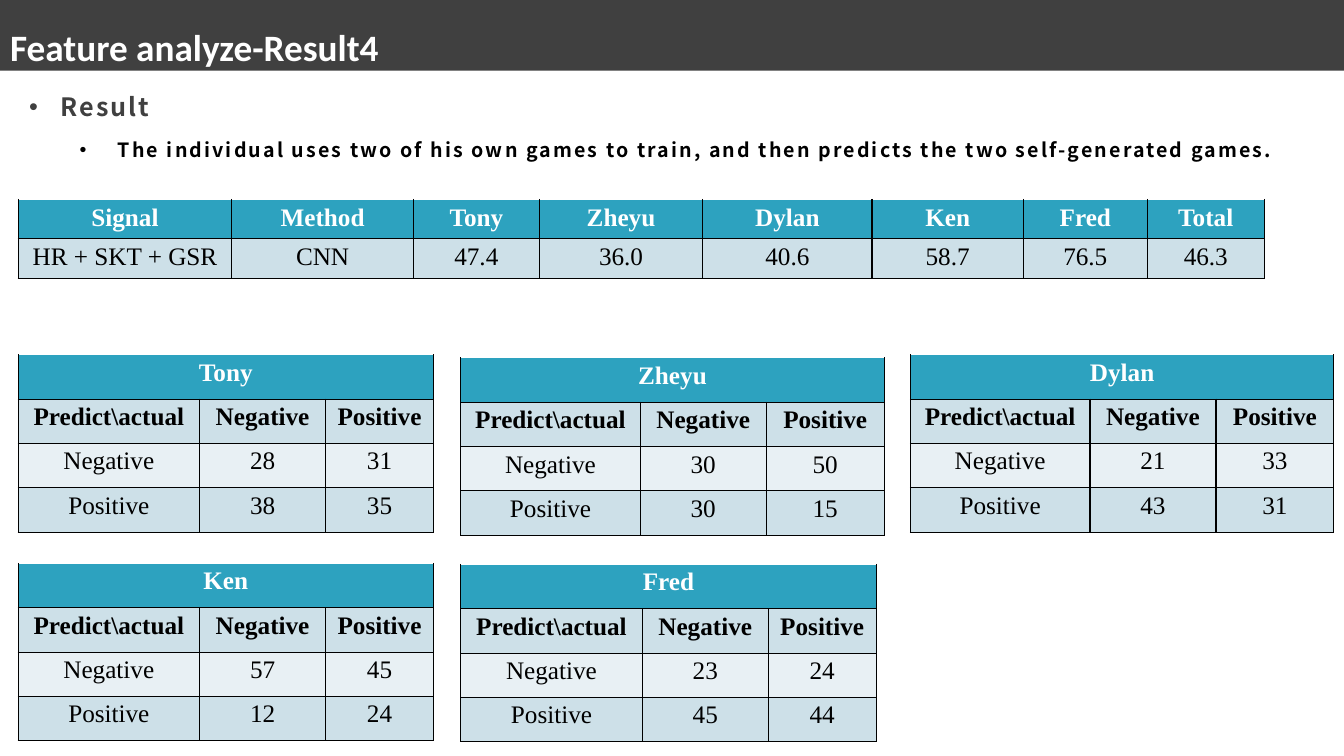
from lxml import etree
from pptx import Presentation
from pptx.dml.color import RGBColor
from pptx.enum.text import MSO_ANCHOR, MSO_AUTO_SIZE, PP_ALIGN
from pptx.oxml.ns import qn
from pptx.util import Inches, Pt

CENTER, LEFT = PP_ALIGN.CENTER, PP_ALIGN.LEFT
TOP, MIDDLE = MSO_ANCHOR.TOP, MSO_ANCHOR.MIDDLE
NO_AUTOFIT = MSO_AUTO_SIZE.NONE

COLORS = {
    "bar": "404040",
    "white": "FFFFFF",
    "black": "000000",
    "header": "2DA2BF",
    "band": "CDE0E8",
    "light": "E8F0F4",
}
TITLE_FONT = "Calibri"
BODY_FONT = "Noto Sans CJK SC"
TABLE_FONT = "Times New Roman"

ACCURACY = [
    ["Signal", "Method", "Tony", "Zheyu", "Dylan", "Ken", "Fred", "Total"],
    ["HR + SKT + GSR", "CNN", "47.4", "36.0", "40.6", "58.7", "76.5", "46.3"],
]
ACCURACY_COLS = [2.12, 1.8, 1.25, 1.62, 1.68, 1.5, 1.23, 1.16]
NARROW = [1.8, 1.25, 1.07]
WIDE = [1.78, 1.25, 1.17]
CONFUSIONS = [
    ("Tony", 0.18, 3.52, NARROW, ["28", "31"], ["38", "35"]),
    ("Zheyu", 4.57, 3.55, WIDE, ["30", "50"], ["30", "15"]),
    ("Dylan", 9.03, 3.52, WIDE, ["21", "33"], ["43", "31"]),
    ("Ken", 0.18, 5.59, NARROW, ["57", "45"], ["12", "24"]),
    ("Fred", 4.57, 5.6, NARROW, ["23", "24"], ["45", "44"]),
]


def rgb(name):
    return RGBColor.from_string(COLORS[name])


class SlideBuilder:
    def __init__(self, prs):
        self.slide = prs.slides.add_slide(prs.slide_layouts[1])

    def run(self, p, text, font, size, color, bold=True):
        r = p.add_run()
        r.text = text
        r.font.name = font
        r.font.size = Pt(size)
        r.font.bold = bold
        r.font.color.rgb = rgb(color)
        return r

    def place(self, sp, box, insets, anchor):
        sp.left, sp.top, sp.width, sp.height = map(Inches, box)
        tf = sp.text_frame
        tf.word_wrap = True
        tf.auto_size = NO_AUTOFIT
        tf.vertical_anchor = anchor
        tf.margin_left, tf.margin_top, tf.margin_right, tf.margin_bottom = map(Inches, insets)
        return tf

    def title(self, text):
        sp = self.slide.shapes.title
        sp.fill.solid()
        sp.fill.fore_color.rgb = rgb("bar")
        tf = self.place(sp, (0, 0, 13.33, 0.7), (0.1, 0, 0.1, 0), MIDDLE)
        p = tf.paragraphs[0]
        p.alignment = LEFT
        p.line_spacing = 1.5
        self.run(p, text, TITLE_FONT, 26.6, "white")

    def bullets(self, items):
        sp = self.slide.placeholders[1]
        tf = self.place(sp, (0.18, 0.88, 13.15, 6.02), (0.11, 0, 0.09, 0), TOP)
        for i, (text, level, margin, hanging, size, color) in enumerate(items):
            p = tf.add_paragraph() if i else tf.paragraphs[0]
            p.level = level
            p.alignment = LEFT
            p.line_spacing = 1.1
            p.space_before = Pt(0)
            p.space_after = Pt(10)
            pPr = p._p.get_or_add_pPr()
            pPr.set("marL", str(Inches(margin)))
            pPr.set("indent", str(-Inches(hanging)))
            etree.SubElement(pPr, qn("a:buFont"), typeface="Arial")
            etree.SubElement(pPr, qn("a:buChar"), char="•")
            r = self.run(p, text, BODY_FONT, size, color)
            r.font._element.set("spc", "150")

    def borders(self, cell, top):
        tcPr = cell._tc.get_or_add_tcPr()
        for side in "LRTB":
            ln = etree.SubElement(tcPr, qn(f"a:ln{side}"), w=str(Pt(1)))
            fill = etree.SubElement(ln, qn("a:solidFill"))
            color = top if side == "T" else "black"
            etree.SubElement(fill, qn("a:srgbClr"), val=COLORS[color])

    def cell(self, cell, text, fill, color, bold, top):
        self.borders(cell, top)
        cell.fill.solid()
        cell.fill.fore_color.rgb = rgb(fill)
        cell.margin_left = cell.margin_right = Inches(0.09)
        cell.margin_top = cell.margin_bottom = Inches(0.04)
        cell.vertical_anchor = TOP
        if text:
            p = cell.text_frame.paragraphs[0]
            p.alignment = CENTER
            self.run(p, text, TABLE_FONT, 18, color, bold)

    def table(self, rows, left, top, widths, row_height, bold_rows=1):
        frame = self.slide.shapes.add_table(
            len(rows), len(widths), Inches(left), Inches(top),
            Inches(sum(widths)), Inches(row_height * len(rows)))
        table = frame.table
        table.first_row = table.horz_banding = False
        for column, width in zip(table.columns, widths):
            column.width = Inches(width)
        for i, values in enumerate(rows):
            table.rows[i].height = Inches(row_height)
            header = i == 0
            fill = "header" if header else "band" if i % 2 else "light"
            color, edge = ("white", "white") if header else ("black", "black")
            for j, text in enumerate(values):
                self.cell(table.cell(i, j), text, fill, color, i < bold_rows, edge)
        return table

    def confusion(self, name, left, top, widths, negative, positive):
        rows = [
            [name, "", ""],
            ["Predict\\actual", "Negative", "Positive"],
            ["Negative", *negative],
            ["Positive", *positive],
        ]
        table = self.table(rows, left, top, widths, 0.44, bold_rows=2)
        table.cell(0, 0).merge(table.cell(0, len(widths) - 1))


def main():
    prs = Presentation()
    prs.slide_width = Inches(13.33)
    prs.slide_height = Inches(7.5)
    s = SlideBuilder(prs)
    s.title("Feature analyze-Result4")
    s.bullets([
        ("Result", 0, 0.31, 0.31, 18, "bar"),
        ("The individual uses two of his own games to train, "
         "and then predicts the two self-generated games.", 1, 0.88, 0.38, 14, "black"),
    ])
    s.table(ACCURACY, 0.18, 1.98, ACCURACY_COLS, 0.39)
    for person in CONFUSIONS:
        s.confusion(*person)
    prs.save("out.pptx")


if __name__ == "__main__":
    main()
